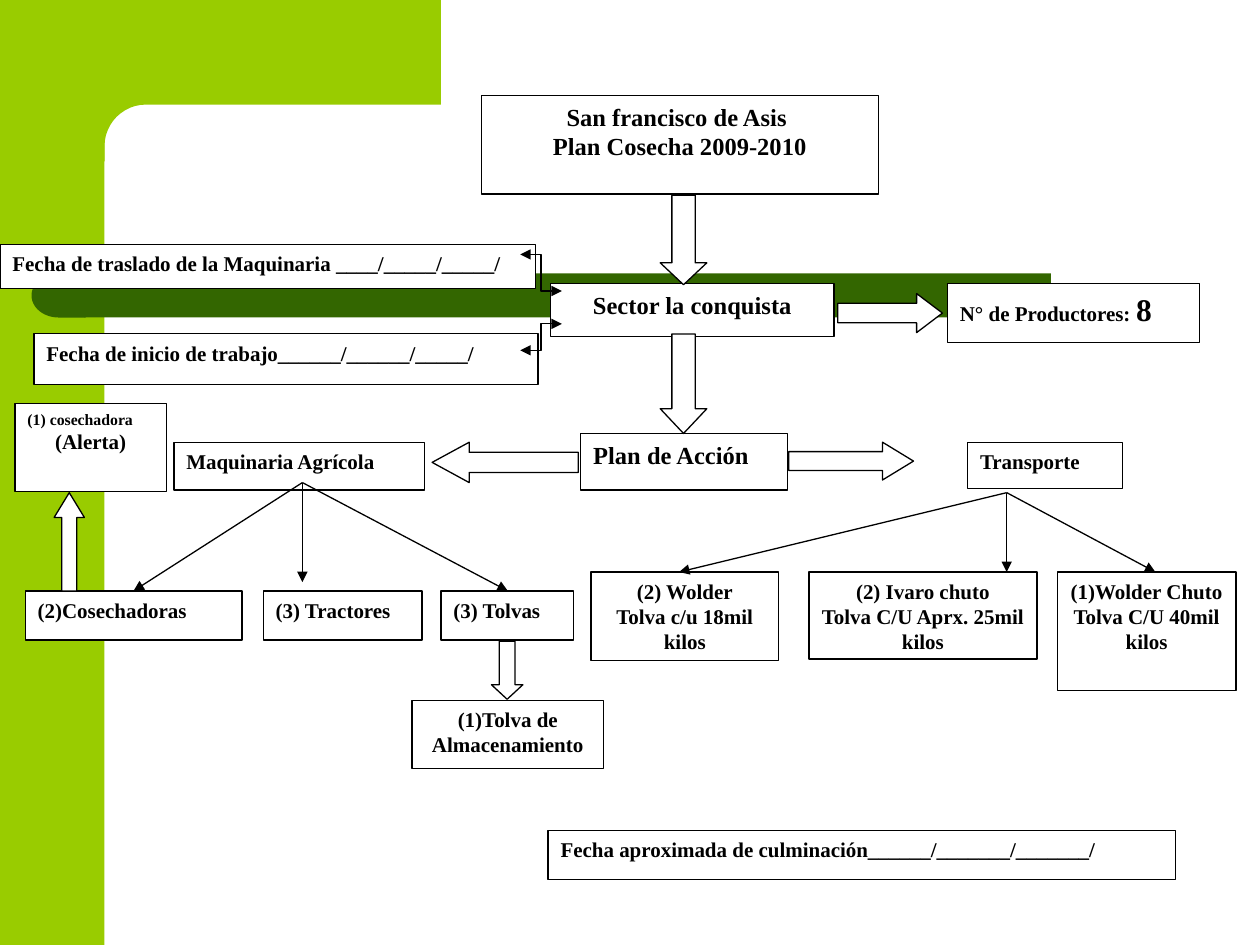
from dataclasses import dataclass
from math import cos, pi, sin

from lxml.etree import SubElement
from pptx import Presentation
from pptx.dml.color import RGBColor
from pptx.enum.shapes import MSO_CONNECTOR, MSO_SHAPE
from pptx.enum.text import MSO_ANCHOR, PP_ALIGN
from pptx.oxml.ns import qn
from pptx.util import Pt

PX = 9144  # EMU in one px, 100 px to the inch
FONT = "Times New Roman"
BLACK, WHITE, LIME, GREEN = "000000", "FFFFFF", "99CC00", "336600"


@dataclass
class Box:
    x: int
    y: int
    w: int
    h: int
    text: str
    size: int = 12
    centred: bool = False


@dataclass
class BlockArrow:
    kind: MSO_SHAPE
    x: int
    y: int
    w: int
    h: int
    head: float


@dataclass
class Link:
    start: tuple[int, int]
    end: tuple[int, int]
    bent: bool = False


TITLE = Box(382, 76, 315, 78, "San francisco de Asis \nPlan Cosecha 2009-2010", 14, True)
PRODUCERS = Box(752, 225, 200, 47, "N° de Productores: ")
ALERT = Box(12, 320, 120, 70, "(1) cosechadora\n(Alerta)")
BOXES = [
    TITLE,
    Box(0, 194, 425, 35, "Fecha de traslado de la Maquinaria ____/_____/_____/"),
    Box(437, 225, 225, 42, "Sector la conquista", 14, True),
    Box(27, 265, 400, 40, "Fecha de inicio de trabajo______/______/_____/"),
    Box(461, 344, 164, 45, "Plan de Acción", 14),
    Box(138, 351, 199, 38, "Maquinaria Agrícola"),
    Box(768, 351, 123, 37, "Transporte"),
    Box(20, 469, 172, 39, "(2)Cosechadoras"),
    Box(209, 469, 126, 39, "(3) Tractores"),
    Box(350, 469, 105, 39, "(3) Tolvas"),
    Box(327, 556, 152, 54, "(1)Tolva de Almacenamiento", 12, True),
    Box(469, 454, 149, 70, "(2) Wolder\nTolva c/u 18mil kilos", 12, True),
    Box(642, 454, 181, 69, "(2) Ivaro chuto\nTolva C/U Aprx. 25mil kilos", 12, True),
    Box(839, 454, 142, 94, "(1)Wolder Chuto \nTolva C/U 40mil kilos", 12, True),
    Box(435, 659, 498, 39, "Fecha aproximada de culminación______/_______/_______/"),
]

ARROWS = [
    BlockArrow(MSO_SHAPE.DOWN_ARROW, 524, 155, 37, 71, 0.47),
    BlockArrow(MSO_SHAPE.RIGHT_ARROW, 665, 233, 83, 31, 0.66),
    BlockArrow(MSO_SHAPE.DOWN_ARROW, 524, 265, 37, 79, 0.53),
    BlockArrow(MSO_SHAPE.LEFT_ARROW, 343, 351, 116, 32, 0.92),
    BlockArrow(MSO_SHAPE.RIGHT_ARROW, 626, 351, 99, 30, 0.82),
    BlockArrow(MSO_SHAPE.UP_ARROW, 43, 391, 24, 78, 0.82),
    BlockArrow(MSO_SHAPE.DOWN_ARROW, 390, 509, 25, 46, 0.46),
]

MACHINERY, TRANSPORT = (240, 383), (799, 391)
LINKS = [
    Link((446, 231), (413, 202), bent=True),
    Link((446, 257), (413, 278), bent=True),
    *(Link(MACHINERY, end) for end in [(106, 469), (240, 462), (403, 469)]),
    *(Link(TRANSPORT, end) for end in [(799, 454), (539, 454), (917, 454)]),
]


def rgb(colour: str) -> RGBColor:
    return RGBColor.from_string(colour)


def paint(sp, fill: str, line: str | None = None) -> None:
    sp.shadow.inherit = False
    sp.fill.solid()
    sp.fill.fore_color.rgb = rgb(fill)
    if line:
        sp.line.color.rgb = rgb(line)
        sp.line.width = Pt(0.75)
    else:
        sp.line.fill.background()


def add_preset(s, kind: MSO_SHAPE, x: int, y: int, w: int, h: int,
               fill: str = WHITE, line: str | None = None):
    sp = s.shapes.add_shape(kind, x * PX, y * PX, w * PX, h * PX)
    paint(sp, fill, line)
    return sp


def format_run(r, size: int) -> None:
    r.font.name = FONT
    r.font.size = Pt(size)
    r.font.bold = True
    r.font.color.rgb = rgb(BLACK)


def draw_box(s, box: Box):
    """Draw the box and return its text frame."""
    sp = add_preset(s, MSO_SHAPE.RECTANGLE, box.x, box.y, box.w, box.h, line=BLACK)
    tf = sp.text_frame
    tf.word_wrap = True
    tf.vertical_anchor = MSO_ANCHOR.TOP
    tf.text = box.text
    for p in tf.paragraphs:
        p.alignment = PP_ALIGN.CENTER if box.centred else PP_ALIGN.LEFT
        for r in p.runs:
            format_run(r, box.size)
    return tf


def draw_arrow(s, arrow: BlockArrow) -> None:
    sp = add_preset(s, arrow.kind, arrow.x, arrow.y, arrow.w, arrow.h, line=BLACK)
    sp.adjustments[0] = 0.5
    sp.adjustments[1] = arrow.head


def draw_link(s, link: Link) -> None:
    """Draw a line with an arrowhead at its end; a bent one has two."""
    kind = MSO_CONNECTOR.ELBOW if link.bent else MSO_CONNECTOR.STRAIGHT
    cx = s.shapes.add_connector(kind, *(v * PX for v in link.start + link.end))
    cx.line.color.rgb = rgb(BLACK)
    cx.line.width = Pt(0.75)
    ln = cx.line._get_or_add_ln()
    for end in ("headEnd", "tailEnd") if link.bent else ("tailEnd",):
        SubElement(ln, qn(f"a:{end}"), type="triangle")
    SubElement(cx._element.spPr, qn("a:effectLst"))


def draw_background(s) -> None:
    add_preset(s, MSO_SHAPE.RECTANGLE, 0, 0, 83, 750, LIME)
    radius, steps = 33, 12
    angles = [pi / 2 * i / steps for i in range(steps + 1)]
    arc = [(116 - radius * sin(a), 116 - radius * cos(a)) for a in angles]
    points = [(350, 83), *arc, (83, 128), (50, 128), (50, 0)]
    fb = s.shapes.build_freeform(350 * PX, 0)
    fb.add_line_segments([(round(x * PX), round(y * PX)) for x, y in points])
    paint(fb.convert_to_shape(), LIME)
    add_preset(s, MSO_SHAPE.RECTANGLE, 67, 217, 767, 35, GREEN)
    add_preset(s, MSO_SHAPE.FLOWCHART_DELAY, 25, 217, 43, 35, GREEN).rotation = 180


def main() -> None:
    prs = Presentation()
    prs.slide_width, prs.slide_height = 1000 * PX, 750 * PX
    s = prs.slides.add_slide(prs.slide_layouts[6])
    draw_background(s)
    for box in BOXES:
        draw_box(s, box)

    count = draw_box(s, PRODUCERS).paragraphs[0].add_run()
    count.text = "8"
    format_run(count, 18)

    harvester, alert = draw_box(s, ALERT).paragraphs
    harvester.runs[0].font.size = Pt(9)
    alert.alignment = PP_ALIGN.CENTER

    for arrow in ARROWS:
        draw_arrow(s, arrow)
    for link in LINKS:
        draw_link(s, link)
    prs.save("out.pptx")


if __name__ == "__main__":
    main()
